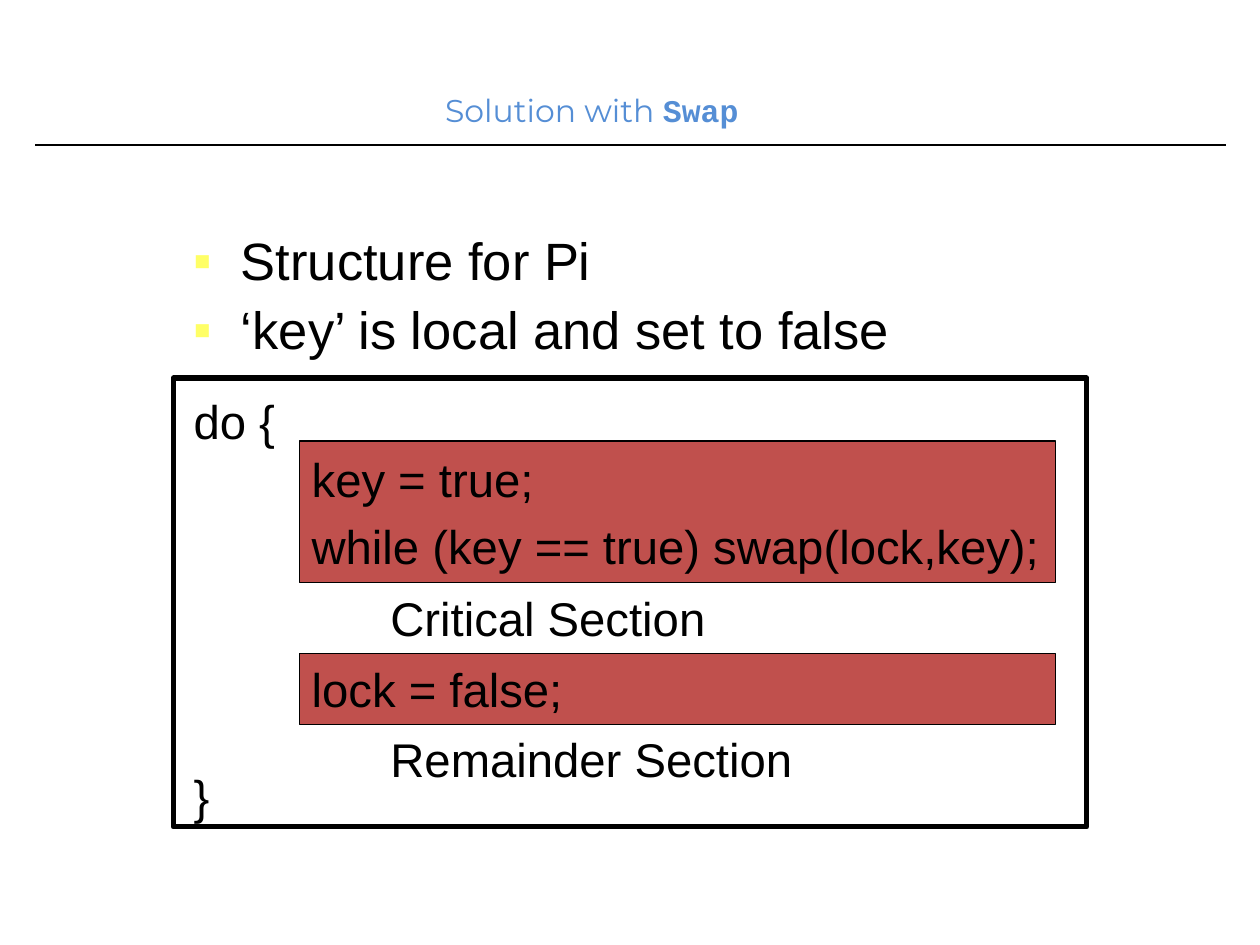
"""Build the slide that explains mutual exclusion with Swap."""
from lxml import etree
from pptx import Presentation
from pptx.dml.color import RGBColor
from pptx.enum.shapes import MSO_CONNECTOR, MSO_SHAPE
from pptx.enum.text import MSO_ANCHOR, MSO_AUTO_SIZE, PP_ALIGN
from pptx.oxml.ns import qn
from pptx.util import Inches, Pt

BLACK = RGBColor(0, 0, 0)
WHITE = RGBColor(255, 255, 255)
RED = RGBColor(0xC0, 0x50, 0x4D)
BLUE = RGBColor(0x55, 0x8E, 0xD5)
BULLET = "FFFF66"
LEFT, CENTER = PP_ALIGN.LEFT, PP_ALIGN.CENTER
TOP, MIDDLE = MSO_ANCHOR.TOP, MSO_ANCHOR.MIDDLE
NO_FIT = MSO_AUTO_SIZE.NONE
RECT, STRAIGHT = MSO_SHAPE.RECTANGLE, MSO_CONNECTOR.STRAIGHT

prs = Presentation()
prs.slide_width, prs.slide_height = Inches(10), Inches(7.5)
COL, ROW = prs.slide_width / 160, prs.slide_height / 120
s = prs.slides.add_slide(prs.slide_layouts[1])


def grid(x, y, w, h):
    return int(x * COL), int(y * ROW), int(w * COL), int(h * ROW)


def add_run(p, text, size, font="Arial", color=BLACK, bold=False):
    r = p.add_run()
    r.text = text
    r.font.size, r.font.name, r.font.bold = Pt(size), font, bold
    r.font.color.rgb = color


line = s.shapes.add_connector(STRAIGHT, int(4.5 * COL), int(18.4 * ROW), int(155.7 * COL), int(18.4 * ROW))
line.line.color.rgb = BLACK
line.line.width = Pt(1)
etree.SubElement(line._element.spPr, qn("a:effectLst"))

title, body = s.placeholders[0], s.placeholders[1]
title.left, title.top, title.width, title.height = grid(23, 10.7, 104.3, 6.4)
body.left, body.top, body.width, body.height = grid(23, 29, 115, 16)
for sp in (title, body):
    sp.text_frame.auto_size = NO_FIT
    sp.text_frame.vertical_anchor = TOP

p = title.text_frame.paragraphs[0]
p.alignment = CENTER
add_run(p, "Solution with ", 18, "Montserrat", BLUE)
add_run(p, "Swap", 18, "Courier New", BLUE, True)

tf = body.text_frame
points = [("Structure for Pi", 2), ("‘key’ is local and set to false", 7.5)]
for i, (text, before) in enumerate(points):
    p = tf.add_paragraph() if i else tf.paragraphs[0]
    p.line_spacing, p.space_before = 0.9, Pt(before)
    pPr = p._p.get_or_add_pPr()
    pPr.set("marL", str(int(6 * COL)))
    pPr.set("indent", str(int(-6 * COL)))
    color = etree.SubElement(pPr, qn("a:buClr"))
    etree.SubElement(color, qn("a:srgbClr"), val=BULLET)
    etree.SubElement(pPr, qn("a:buChar"), char="▪")
    add_run(p, text, 30)

boxes = [
    (grid(22, 48, 116, 57), WHITE, 3, []),
    (grid(38, 56, 96, 18), RED, 0.75, ["key = true;", "while (key == true) swap(lock,key);"]),
    (grid(38, 83, 96, 9), RED, 0.75, ["lock = false;"]),
]
for place, fill, width, code in boxes:
    sp = s.shapes.add_shape(RECT, *place)
    sp.shadow.inherit = False
    sp.fill.solid()
    sp.fill.fore_color.rgb = fill
    sp.line.color.rgb = BLACK
    sp.line.width = Pt(width)
    tf = sp.text_frame
    tf.word_wrap, tf.vertical_anchor = False, MIDDLE
    for i, text in enumerate(code):
        p = tf.add_paragraph() if i else tf.paragraphs[0]
        p.alignment, p.space_before = LEFT, Pt(6)
        add_run(p, text, 27)

labels = [
    ("do {", 23, 49, 28),
    ("Critical Section", 48, 74, 48),
    ("Remainder Section", 48, 92, 57),
    ("}", 23, 96.6, 28),
]
for text, x, y, w in labels:
    tf = s.shapes.add_textbox(*grid(x, y, w, 9)).text_frame
    tf.word_wrap = True
    p = tf.paragraphs[0]
    p.space_before = Pt(2)
    add_run(p, text, 27)

prs.save("out.pptx")
